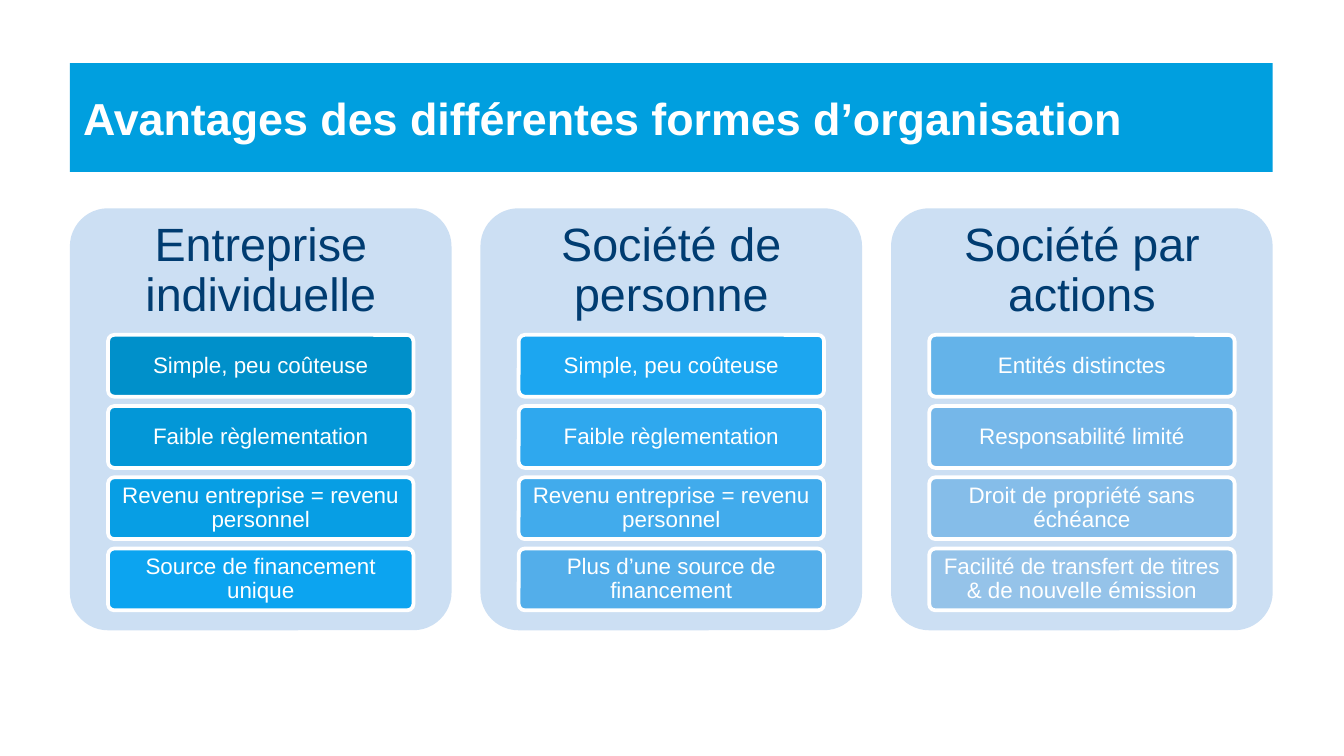
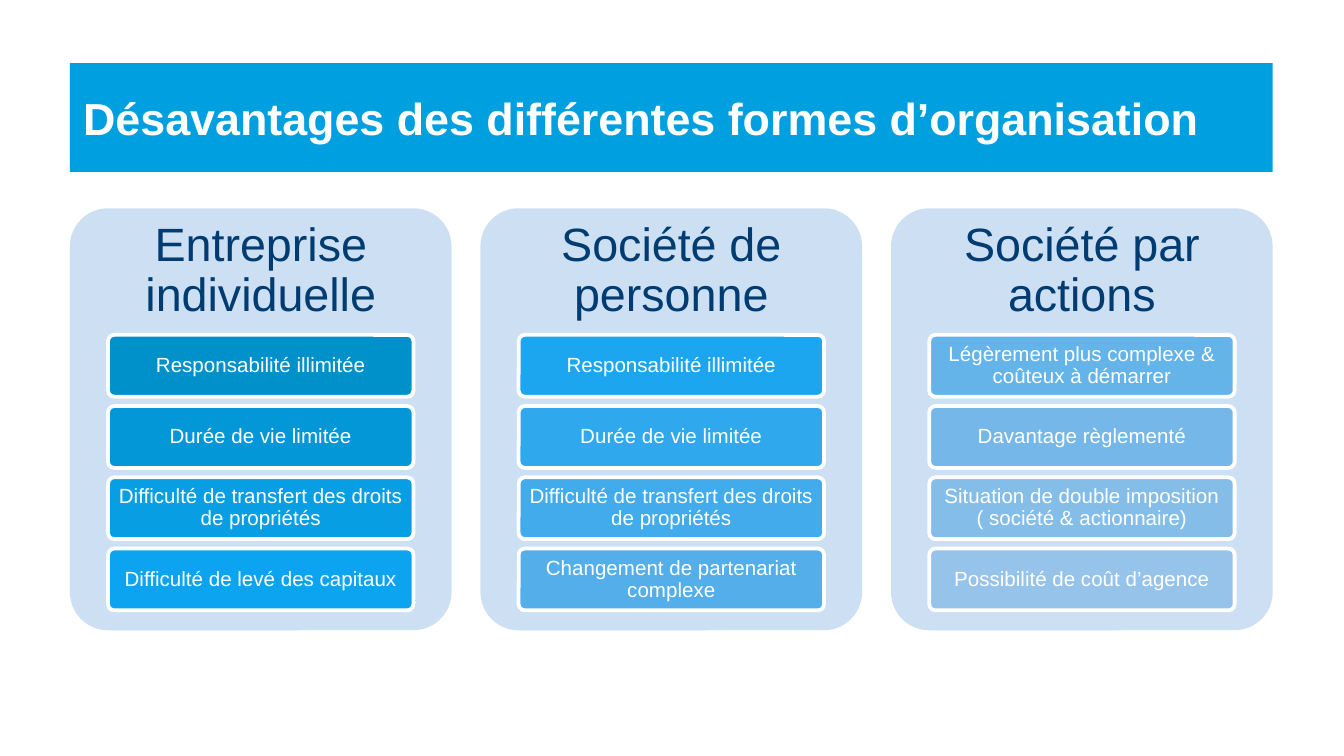
import dataclasses

import pptx
import pptx.dml.color
import pptx.enum.shapes
import pptx.enum.text
import pptx.util

ALIGN = pptx.enum.text.PP_ALIGN
SHAPE = pptx.enum.shapes.MSO_SHAPE


@dataclasses.dataclass(frozen=True)
class Theme:
    font: str = "Arial"
    white: str = "FFFFFF"
    band: str = "009FDF"
    panel: str = "CCDFF3"
    heading: str = "003C71"
    # One row of card shades per column, from top to bottom
    cards: tuple = (
        ("0090CA", "0397D7", "079EE4", "0CA4F0"),
        ("1CA6F0", "2FA8EE", "41ABEC", "53AEEA"),
        ("64B3E9", "75B7E9", "85BDE9", "95C3E9"),
    )
    title_size: int = 24
    heading_size: int = 25
    card_border: int = 2
    corner: float = 0.1


THEME = Theme()

# Grid, in inches
SLIDE_WIDTH, SLIDE_HEIGHT = 10, 5.625
LEFT, CONTENT_WIDTH = 0.52, 8.95
BAND_TOP, BAND_HEIGHT = 0.47, 0.81
PANEL_TOP, PANEL_HEIGHT = 1.55, 3.14
COLUMN_COUNT, COLUMN_WIDTH = 3, 2.84
COLUMN_PITCH = (CONTENT_WIDTH - COLUMN_WIDTH) / (COLUMN_COUNT - 1)
HEADING_HEIGHT = 0.3 * PANEL_HEIGHT
CARD_WIDTH, CARD_HEIGHT = 0.8 * COLUMN_WIDTH, 0.46
CARD_INDENT = (COLUMN_WIDTH - CARD_WIDTH) / 2
CARD_TOP, CARD_PITCH = PANEL_TOP + HEADING_HEIGHT, 0.53

FORMS = ("Entreprise individuelle", "Société de personne", "Société par actions")

# Title, card text size and the cards of each form
SLIDES = (
    ("Avantages des différentes formes d’organisation", 12, (
        ("Simple, peu coûteuse", "Faible règlementation",
         "Revenu entreprise = revenu personnel", "Source de financement unique"),
        ("Simple, peu coûteuse", "Faible règlementation",
         "Revenu entreprise = revenu personnel", "Plus d’une source de financement"),
        ("Entités distinctes", "Responsabilité limité",
         "Droit de propriété sans échéance",
         "Facilité de transfert de titres & de nouvelle émission"),
    )),
    ("Désavantages des différentes formes d’organisation", 11, (
        ("Responsabilité illimitée", "Durée de vie limitée",
         "Difficulté de transfert des droits de propriétés",
         "Difficulté de levé des capitaux"),
        ("Responsabilité illimitée", "Durée de vie limitée",
         "Difficulté de transfert des droits de propriétés",
         "Changement de partenariat complexe"),
        ("Légèrement plus complexe & coûteux à démarrer", "Davantage règlementé",
         "Situation de double imposition ( société & actionnaire)",
         "Possibilité de coût d’agence"),
    )),
)


def rgb(value):
    return pptx.dml.color.RGBColor.from_string(value)


def inches(*lengths):
    return [pptx.util.Inches(length) for length in lengths]


def set_all(target, values):
    for name, value in values.items():
        setattr(target, name, value)


def write(holder, text, size, color, inset, bold=False, align=ALIGN.CENTER, spacing=0.9):
    margin = pptx.util.Inches(inset)
    set_all(holder.text_frame, {
        "text": text,
        "word_wrap": True,
        "vertical_anchor": pptx.enum.text.MSO_ANCHOR.MIDDLE,
        "margin_left": margin, "margin_right": margin,
        "margin_top": margin, "margin_bottom": margin,
    })
    paragraph = holder.text_frame.paragraphs[0]
    set_all(paragraph, {"alignment": align, "line_spacing": spacing})
    font = paragraph.runs[0].font
    set_all(font, {"name": THEME.font, "size": pptx.util.Pt(size), "bold": bold})
    font.color.rgb = rgb(color)


def add_block(slide, kind, box, fill, border=None):
    block = slide.shapes.add_shape(kind, *inches(*box))
    block.shadow.inherit = False
    block.fill.solid()
    block.fill.fore_color.rgb = rgb(fill)
    if kind == SHAPE.ROUNDED_RECTANGLE:
        block.adjustments[0] = THEME.corner
    if border:
        block.line.color.rgb = rgb(border)
        block.line.width = pptx.util.Pt(THEME.card_border)
    else:
        block.line.fill.background()
    return block


def add_title_band(slide, title):
    band = add_block(slide, SHAPE.RECTANGLE,
                     (LEFT, BAND_TOP, CONTENT_WIDTH, BAND_HEIGHT), THEME.band)
    write(band, title, THEME.title_size, THEME.white, 0.1,
          bold=True, align=ALIGN.LEFT, spacing=1.0)


def add_form_column(slide, column, form, points, point_size):
    left = LEFT + column * COLUMN_PITCH
    # Panel and its heading
    add_block(slide, SHAPE.ROUNDED_RECTANGLE,
              (left, PANEL_TOP, COLUMN_WIDTH, PANEL_HEIGHT), THEME.panel)
    heading = slide.shapes.add_textbox(
        *inches(left, PANEL_TOP, COLUMN_WIDTH, HEADING_HEIGHT))
    write(heading, form, THEME.heading_size, THEME.heading, 0.1)
    # Stacked cards
    for row, (point, shade) in enumerate(zip(points, THEME.cards[column])):
        box = (left + CARD_INDENT, CARD_TOP + row * CARD_PITCH, CARD_WIDTH, CARD_HEIGHT)
        card = add_block(slide, SHAPE.ROUNDED_RECTANGLE, box, shade, THEME.white)
        write(card, point, point_size, THEME.white, 0.03)


def main():
    deck = pptx.Presentation()
    deck.slide_width, deck.slide_height = inches(SLIDE_WIDTH, SLIDE_HEIGHT)
    blank = deck.slide_layouts[6]
    for title, point_size, columns in SLIDES:
        slide = deck.slides.add_slide(blank)
        add_title_band(slide, title)
        for column, (form, points) in enumerate(zip(FORMS, columns)):
            add_form_column(slide, column, form, points, point_size)
    deck.save("out.pptx")


if __name__ == "__main__":
    main()
